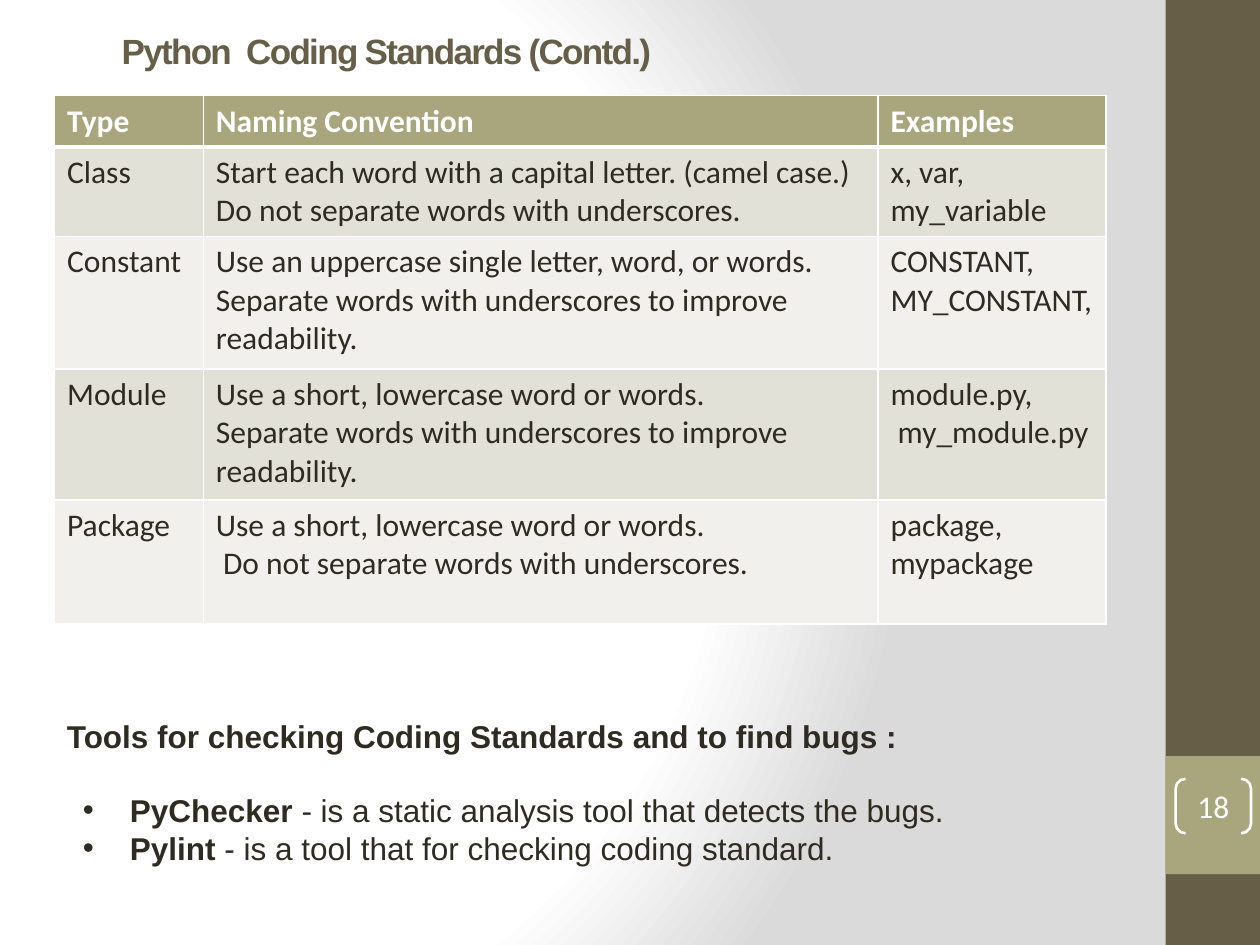
from lxml import etree
from pptx import Presentation
from pptx.dml.color import RGBColor
from pptx.enum.shapes import MSO_SHAPE
from pptx.enum.text import MSO_ANCHOR, MSO_AUTO_SIZE, PP_ALIGN
from pptx.oxml import parse_xml
from pptx.oxml.ns import qn
from pptx.util import Cm, Pt

RECTANGLE = MSO_SHAPE.RECTANGLE
BRACKETS = MSO_SHAPE.DOUBLE_BRACKET
MIDDLE, BOTTOM, TOP = MSO_ANCHOR.MIDDLE, MSO_ANCHOR.BOTTOM, MSO_ANCHOR.TOP
LEFT, CENTER = PP_ALIGN.LEFT, PP_ALIGN.CENTER
NO_FIT = MSO_AUTO_SIZE.NONE

WHITE, INK, BROWN, OLIVE = "FFFFFF", "2F2B20", "675E47", "A9A57C"
BAND_FILLS = ("E2E1D7", "F1F0EC")
NS = ('xmlns:a="http://schemas.openxmlformats.org/drawingml/2006/main" '
      'xmlns:p="http://schemas.openxmlformats.org/presentationml/2006/main"')

CONVENTIONS = [
    [["Type"], ["Naming Convention"], ["Examples"]],
    [["Class"],
     ["Start each word with a capital letter. (camel case.)",
      "Do not separate words with underscores."],
     ["x,\u00a0var,\u00a0", "my_variable"]],
    [["Constant"],
     ["Use an uppercase single letter, word, or words. "
      "Separate words with underscores to improve readability."],
     ["CONSTANT,\u00a0", "MY_CONSTANT,\u00a0"]],
    [["Module"],
     ["Use a short, lowercase word or words.",
      "Separate words with underscores to improve readability."],
     ["module.py,", "\u00a0my_module.py"]],
    [["Package"],
     ["Use a short, lowercase word or words.",
      " Do not separate words with underscores."],
     ["package,\u00a0", "mypackage"]],
]
COLUMN_WIDTHS = (3, 13.6, 4.6)
ROW_HEIGHTS = (1, 1.8, 2.67, 2.64, 2.5)
TOOLS = [
    ("PyChecker", " - is a static analysis tool that detects the bugs."),
    ("Pylint", " - is a tool that for checking coding standard."),
]


def color(value):
    return RGBColor.from_string(value)


def apply(target, values):
    for name, value in values.items():
        setattr(target, name, value)


def add_span(para, text, ink, font="Arial", size=18, bold=False):
    span = para.add_run()
    span.text = text
    apply(span.font, {"name": font, "size": Pt(size), "bold": bold})
    span.font.color.rgb = color(ink)
    return span


def set_indent(para, margin, hanging=0):
    properties = para._p.get_or_add_pPr()
    properties.set("marL", str(Cm(margin)))
    properties.set("indent", str(Cm(-hanging)))
    return properties


def set_background(page):
    stops = "".join(
        f'<a:gs pos="{position}"><a:srgbClr val="{value}"/></a:gs>'
        for position, value in ((0, WHITE), (75000, WHITE), (100000, "DADADA")))
    page.element.cSld.insert(0, parse_xml(
        f'<p:bg {NS}><p:bgPr><a:gradFill rotWithShape="1"><a:gsLst>{stops}</a:gsLst>'
        '<a:path path="circle"><a:fillToRect l="20000" t="50000" r="100000" b="50000"/>'
        '</a:path></a:gradFill><a:effectLst/></p:bgPr></p:bg>'))


def add_block(page, left, top, width, height, fill):
    block = page.shapes.add_shape(RECTANGLE, Cm(left), Cm(top), Cm(width), Cm(height))
    block.shadow.inherit = False
    block.fill.solid()
    block.fill.fore_color.rgb = color(fill)
    block.line.fill.background()


def add_sidebar(page, left, top, width, height):
    badge_top, badge_height = top + height * 0.8, height / 8
    add_block(page, left, top, width, height, BROWN)
    add_block(page, left, badge_top, width, badge_height, OLIVE)
    number = page.shapes.add_shape(
        BRACKETS, Cm(left + 0.2), Cm(badge_top + 0.46), Cm(width - 0.38), Cm(1.1))
    number.adjustments[0] = 0.18
    number.shadow.inherit = False
    number.fill.background()
    number.line.color.rgb = color(WHITE)
    number.line.width = Pt(1.5)
    frame = number.text_frame
    apply(frame, {"vertical_anchor": MIDDLE, "margin_left": 0, "margin_right": 0,
                  "margin_top": 0, "margin_bottom": 0})
    para = frame.paragraphs[0]
    para.alignment = CENTER
    add_span(para, "18", WHITE, "Calibri")


def add_title(page, left, top, width, height):
    title = page.shapes.title
    apply(title, {"left": Cm(left), "top": Cm(top),
                  "width": Cm(width), "height": Cm(height)})
    apply(title.text_frame, {"vertical_anchor": MIDDLE, "word_wrap": True,
                             "auto_size": NO_FIT})
    para = title.text_frame.paragraphs[0]
    para.alignment = LEFT
    set_indent(para, 1.3)
    span = add_span(para, "Python  Coding Standards (Contd.)", BROWN, size=20, bold=True)
    span.font._element.set("spc", "-100")


def set_borders(cell, widths):
    properties = cell._tc.get_or_add_tcPr()
    for side, width in widths.items():
        line = etree.SubElement(properties, qn(f"a:ln{side}"), w=str(Pt(width)))
        fill = etree.SubElement(line, qn("a:solidFill"))
        etree.SubElement(fill, qn("a:srgbClr"), val=WHITE)


def format_cell(cell, lines, row):
    header = row == 0
    set_borders(cell, {"L": 1, "R": 1, "T": 3 if row == 1 else 1, "B": 3 if header else 1})
    cell.fill.solid()
    cell.fill.fore_color.rgb = color(OLIVE if header else BAND_FILLS[(row - 1) % 2])
    cell.vertical_anchor = BOTTOM if header else TOP
    frame = cell.text_frame
    for index, text in enumerate(lines):
        para = frame.add_paragraph() if index else frame.paragraphs[0]
        add_span(para, text, WHITE if header else INK, "Calibri", bold=header)


def add_conventions(page, left, top):
    table = page.shapes.add_table(
        len(ROW_HEIGHTS), len(COLUMN_WIDTHS), Cm(left), Cm(top),
        Cm(sum(COLUMN_WIDTHS)), Cm(sum(ROW_HEIGHTS))).table
    table.horz_banding = False
    for column, width in zip(table.columns, COLUMN_WIDTHS):
        column.width = Cm(width)
    for row, height in enumerate(ROW_HEIGHTS):
        table.rows[row].height = Cm(height)
        for column, lines in enumerate(CONVENTIONS[row]):
            format_cell(table.cell(row, column), lines, row)


def add_tools(page, left, top, width, height):
    frame = page.shapes.add_textbox(Cm(left), Cm(top), Cm(width), Cm(height)).text_frame
    frame.word_wrap = True
    add_span(frame.paragraphs[0], "Tools for checking Coding Standards and to find bugs :",
             INK, bold=True)
    for index, (name, purpose) in enumerate(TOOLS):
        para = frame.add_paragraph()
        para.space_before = Pt(0 if index else 21)
        properties = set_indent(para, 1.27, 0.95)
        etree.SubElement(properties, qn("a:buFont"), typeface="Arial")
        etree.SubElement(properties, qn("a:buChar"), char="•")
        add_span(para, name, INK, bold=True)
        add_span(para, purpose, INK)


deck = Presentation()
apply(deck, {"slide_width": Cm(25.4), "slide_height": Cm(19.05)})
page = deck.slides.add_slide(deck.slide_layouts[5])
set_background(page)
add_sidebar(page, 23.5, 0, 1.9, 19.05)
add_title(page, 0.9, 0.33, 22.86, 1.37)
add_conventions(page, 1.1, 1.93)
add_tools(page, 1.1, 14.32, 20.4, 4.1)
deck.save("out.pptx")
